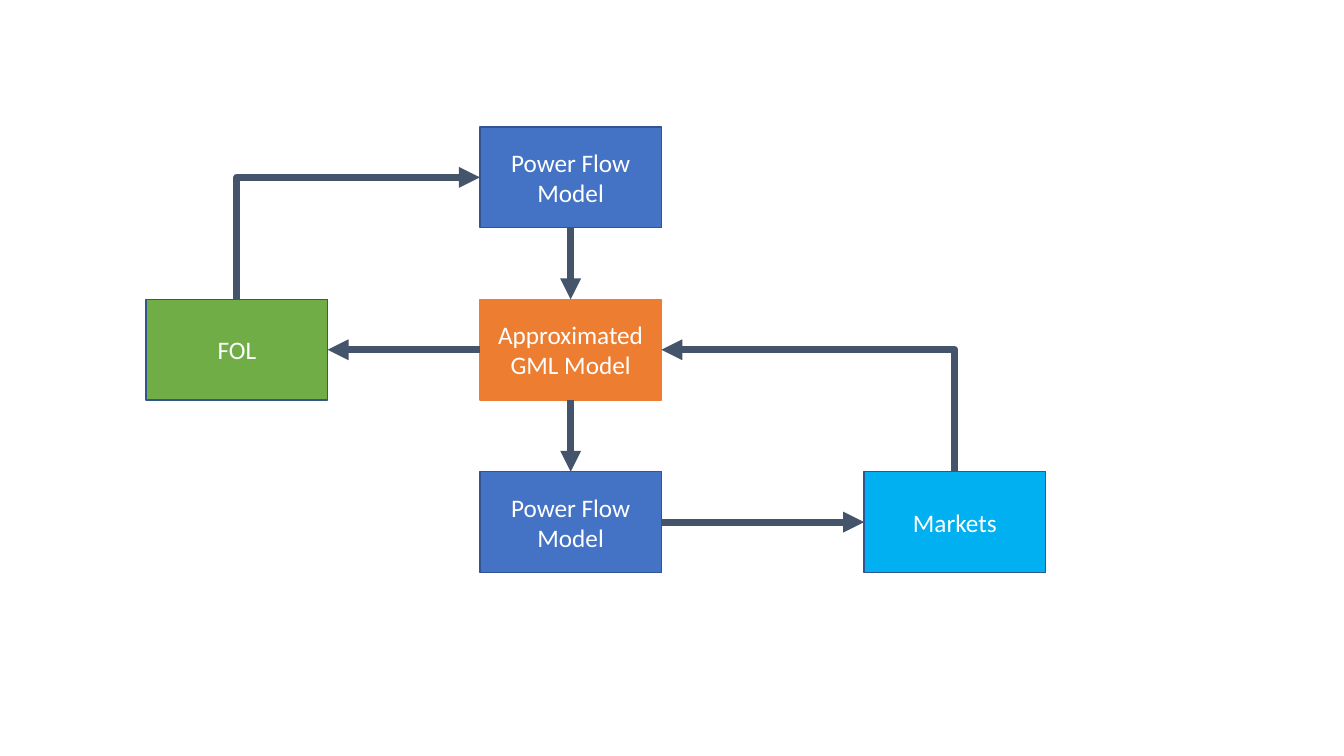
from pptx import Presentation
from pptx import util as u
from pptx.dml.color import RGBColor
from pptx.enum import shapes, text
from pptx.oxml import ns, xmlchemy

COLORS = {
    "power": "4472C4",
    "approximation": "ED7D31",
    "fol": "70AD47",
    "markets": "00B0F0",
    "outline": "325491",
    "arrow": "44546A",
    "text": "FFFFFF",
}
BOX_WIDTH, BOX_HEIGHT = 1.8, 1
COLUMNS = {"left": 1.45, "middle": 4.76, "right": 8.57}
FIRST_ROW, ROW_STEP = 1.26, 1.71
TOP, LEFT, BOTTOM, RIGHT = range(4)


def color(name):
    return RGBColor.from_string(COLORS[name])


def add_box(page, label, column, row, fill, outline="outline"):
    box = page.shapes.add_shape(
        shapes.MSO_SHAPE.RECTANGLE,
        u.Inches(COLUMNS[column]), u.Inches(FIRST_ROW + row * ROW_STEP),
        u.Inches(BOX_WIDTH), u.Inches(BOX_HEIGHT))
    box.shadow.inherit = False
    box.fill.solid()
    box.fill.fore_color.rgb = color(fill)
    box.line.color.rgb = color(outline)
    box.line.width = u.Pt(1)
    frame = box.text_frame
    frame.word_wrap = True
    frame.vertical_anchor = text.MSO_ANCHOR.MIDDLE
    para = frame.paragraphs[0]
    para.alignment = text.PP_ALIGN.CENTER
    span = para.add_run()
    span.text = label
    span.font.name = "Calibri"
    span.font.size = u.Pt(18)
    span.font.color.rgb = color("text")
    return box


def add_arrow(page, source, source_side, target, target_side,
              kind=shapes.MSO_CONNECTOR.STRAIGHT):
    arrow = page.shapes.add_connector(kind, 0, 0, 0, 0)
    arrow.begin_connect(source, source_side)
    arrow.end_connect(target, target_side)
    arrow.line.color.rgb = color("arrow")
    arrow.line.width = u.Pt(5)
    head = xmlchemy.OxmlElement("a:tailEnd")
    head.set("type", "triangle")
    arrow.line._get_or_add_ln().append(head)
    arrow._element.spPr.append(xmlchemy.OxmlElement("a:effectLst"))
    return arrow


def add_corner_arrow(page, source, target, target_side):
    arrow = add_arrow(page, source, TOP, target, target_side,
                      shapes.MSO_CONNECTOR.ELBOW)
    across, rise = arrow.width, arrow.height
    center_x = arrow.left + across // 2
    center_y = arrow.top + rise // 2
    arrow.left, arrow.top = center_x - rise // 2, center_y - across // 2
    arrow.width, arrow.height = rise, across
    rightward = target_side == LEFT
    properties = arrow._element.spPr
    transform = properties.find(ns.qn("a:xfrm"))
    transform.set("rot", str((90 if rightward else 270) * 60000))
    transform.set("flipH", "1" if rightward else "0")
    transform.set("flipV", "1")
    properties.find(ns.qn("a:prstGeom")).set("prst", "bentConnector2")


def main():
    deck = Presentation()
    deck.slide_width, deck.slide_height = u.Inches(13.33), u.Inches(7.5)
    page = deck.slides.add_slide(deck.slide_layouts[6])

    upper_flow = add_box(page, "Power Flow Model", "middle", 0, "power")
    approximation = add_box(page, "Approximated GML Model", "middle", 1,
                            "approximation", "approximation")
    lower_flow = add_box(page, "Power Flow Model", "middle", 2, "power")
    fol = add_box(page, "FOL", "left", 1, "fol")
    markets = add_box(page, "Markets", "right", 2, "markets")

    add_arrow(page, upper_flow, BOTTOM, approximation, TOP)
    add_arrow(page, approximation, BOTTOM, lower_flow, TOP)
    add_arrow(page, lower_flow, RIGHT, markets, LEFT)
    add_arrow(page, approximation, LEFT, fol, RIGHT)
    add_corner_arrow(page, fol, upper_flow, LEFT)
    add_corner_arrow(page, markets, approximation, RIGHT)

    deck.save("out.pptx")


if __name__ == "__main__":
    main()
